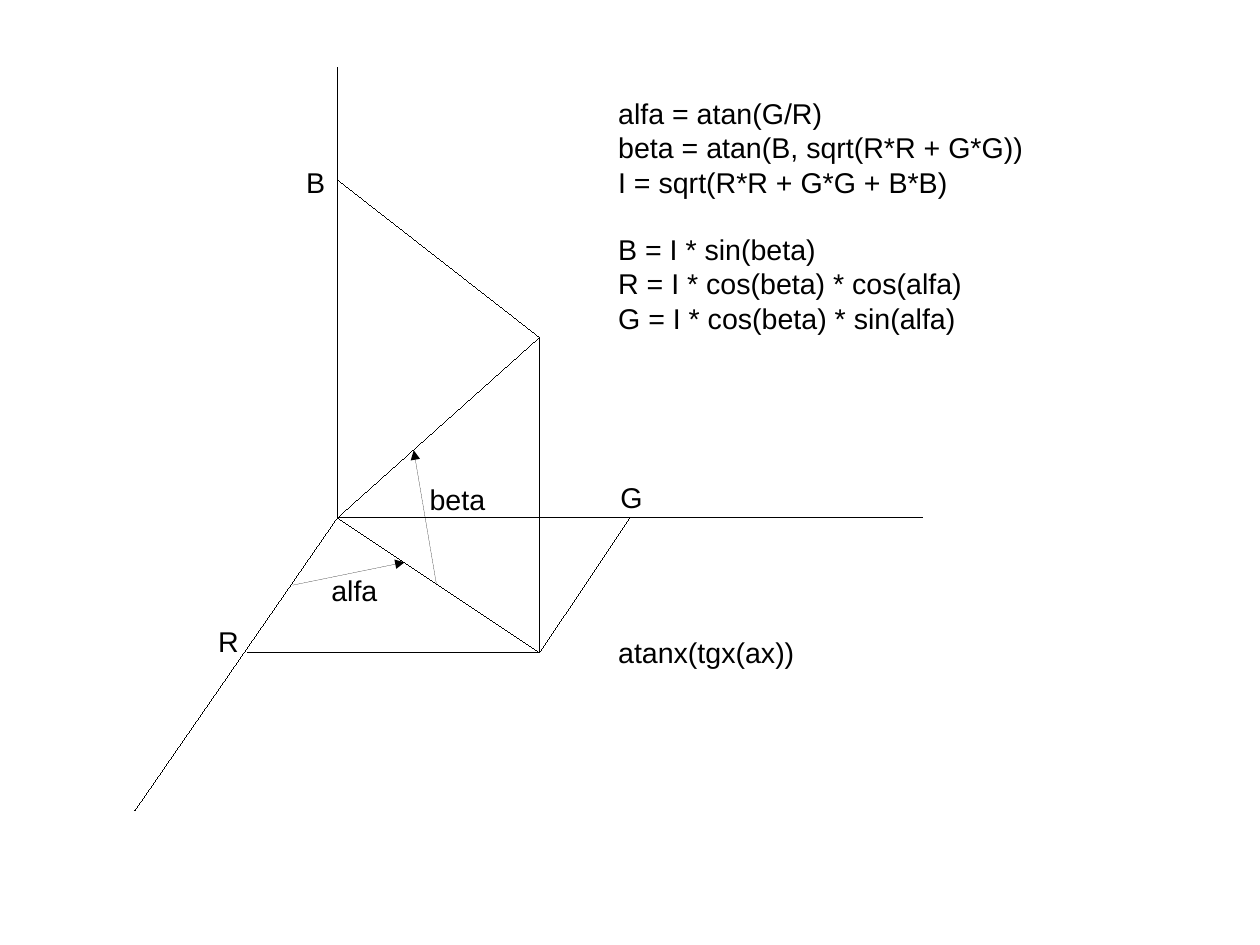
from dataclasses import dataclass

from lxml.etree import SubElement
from pptx import Presentation
from pptx.dml.color import RGBColor
from pptx.enum.shapes import MSO_CONNECTOR
from pptx.enum.text import MSO_AUTO_SIZE
from pptx.oxml.ns import qn
from pptx.util import Inches, Pt


@dataclass(frozen=True)
class Theme:
    ink: RGBColor = RGBColor(0, 0, 0)
    font: str = "Arial"
    text_size: float = 18
    group_gap: float = 21
    hairline: str = "0"


THEME = Theme()

# The page is 28 by 21 centimetres
CM_PER_INCH = 2.54
PAGE_WIDTH = 28 / CM_PER_INCH
PAGE_HEIGHT = 21 / CM_PER_INCH

# Points of the colour space diagram, in inches
ORIGIN = (2.95, 4.53)
BLUE_END = (2.95, 0.59)
RED_END = (1.18, 7.09)
GREEN_END = (8.07, 4.53)
BLUE = (2.95, 1.57)
RED = (2.17, 5.71)
GREEN = (5.51, 4.53)
COLOUR = (4.72, 2.95)
COLOUR_BASE = (4.72, 5.71)

AXES = [(BLUE_END, ORIGIN), (RED_END, ORIGIN), (GREEN_END, ORIGIN)]
PROJECTIONS = [
    (RED, COLOUR_BASE),
    (COLOUR_BASE, GREEN),
    (COLOUR_BASE, COLOUR),
    (COLOUR, BLUE),
]
VECTORS = [(ORIGIN, COLOUR_BASE), (COLOUR, ORIGIN)]
ANGLE_ARROWS = [((2.56, 5.12), (3.54, 4.92)), ((3.82, 5.12), (3.62, 3.94))]

# Text, (left, top, width, height), wrap
LABELS = [
    ("alfa", (2.8, 4.96, 0.79, 0.38), True),
    ("beta", (3.66, 4.17, 0.79, 0.38), True),
    ("G", (5.33, 4.15, 0.39, 0.38), False),
    ("R", (1.81, 5.41, 0.38, 0.38), False),
    ("B", (2.58, 1.39, 0.36, 0.38), False),
]
FORMULA_PLACE = (5.31, 0.79, 4.92, 2.06)
FORMULA_GROUPS = [
    [
        "alfa = atan(G/R)",
        "beta = atan(B, sqrt(R*R + G*G))",
        "I = sqrt(R*R + G*G + B*B)",
    ],
    [
        "B = I * sin(beta)",
        "R = I * cos(beta) * cos(alfa)",
        "G = I * cos(beta) * sin(alfa)",
    ],
]
INVERSE_PLACE = (5.31, 5.51, 1.74, 0.38)
INVERSE = "atanx(tgx(ax))"


def add_line(page, start, end, arrow=False):
    line = page.shapes.add_connector(
        MSO_CONNECTOR.STRAIGHT, *[Inches(value) for value in start + end]
    )
    line.line.color.rgb = THEME.ink
    properties = line._element.spPr
    stroke = properties.find(qn("a:ln"))
    stroke.set("w", THEME.hairline)
    if arrow:
        SubElement(stroke, qn("a:tailEnd"), type="triangle")
    SubElement(properties, qn("a:effectLst"))


def add_text(page, groups, place, wrap):
    """Write one paragraph per line, with a gap before each later group."""
    box = page.shapes.add_textbox(*[Inches(value) for value in place])
    frame = box.text_frame
    frame.word_wrap = wrap
    frame.auto_size = MSO_AUTO_SIZE.SHAPE_TO_FIT_TEXT
    for group_index, group in enumerate(groups):
        for line_index, text in enumerate(group):
            first = group_index == line_index == 0
            para = frame.paragraphs[0] if first else frame.add_paragraph()
            if group_index and not line_index:
                para.space_before = Pt(THEME.group_gap)
            span = para.add_run()
            span.text = text
            span.font.name = THEME.font
            span.font.size = Pt(THEME.text_size)
            span.font.color.rgb = THEME.ink


def main():
    deck = Presentation()
    deck.slide_width = Inches(PAGE_WIDTH)
    deck.slide_height = Inches(PAGE_HEIGHT)
    page = deck.slides.add_slide(deck.slide_layouts.get_by_name("Blank"))
    for start, end in AXES + PROJECTIONS + VECTORS:
        add_line(page, start, end)
    for start, end in ANGLE_ARROWS:
        add_line(page, start, end, arrow=True)
    for text, place, wrap in LABELS:
        add_text(page, [[text]], place, wrap)
    add_text(page, FORMULA_GROUPS, FORMULA_PLACE, wrap=True)
    add_text(page, [[INVERSE]], INVERSE_PLACE, wrap=False)
    deck.save("out.pptx")


if __name__ == "__main__":
    main()
